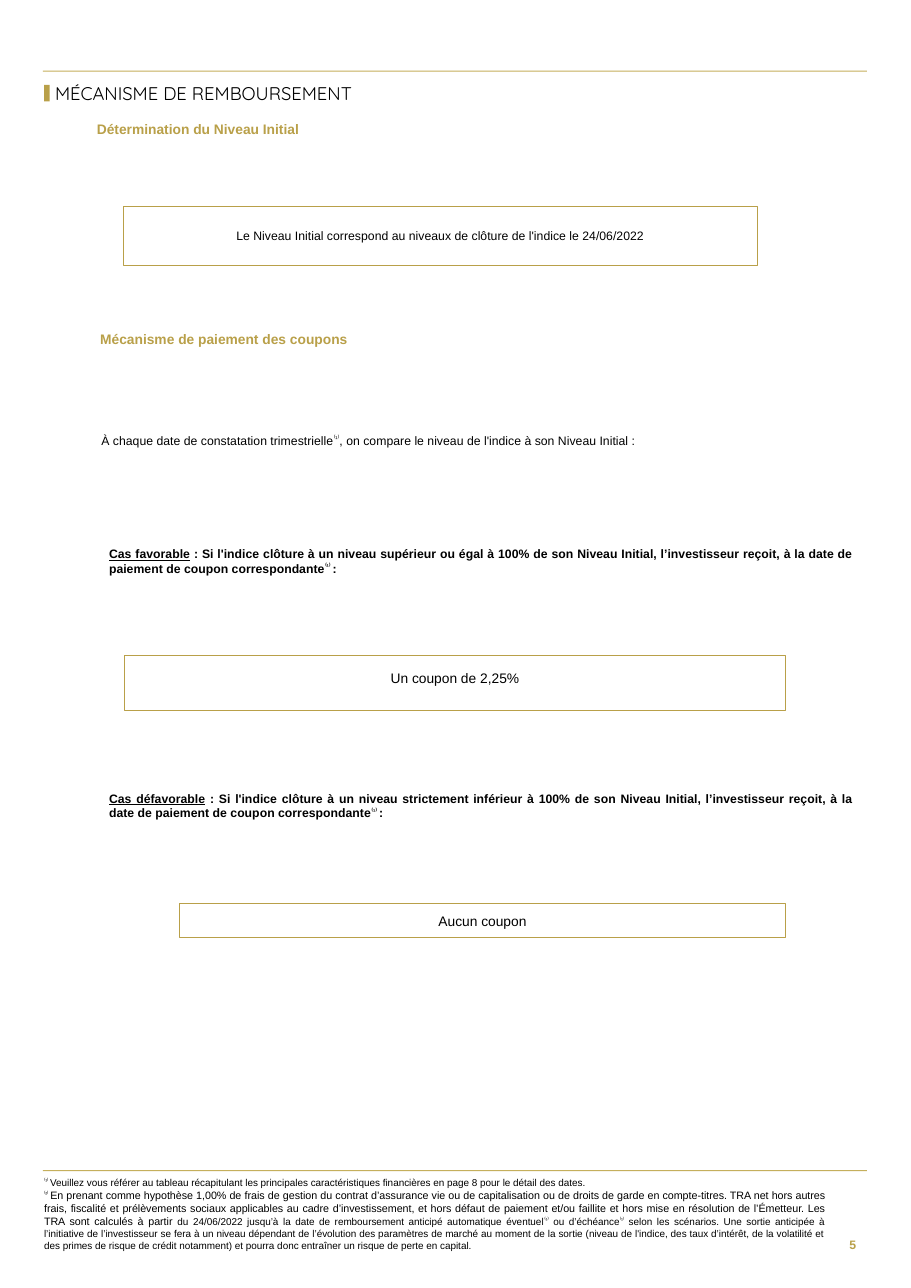
from pptx import Presentation
from pptx.dml.color import RGBColor
from pptx.enum.shapes import MSO_SHAPE as Shape
from pptx.enum.text import MSO_ANCHOR as Anchor, PP_ALIGN as Align
from pptx.util import Inches, Pt

GOLD, RULE, BLACK, WHITE = "B9A049", "C5AF5C", "000000", "FFFFFF"
NOTE_1, NOTE_2 = "⁽¹⁾", "⁽²⁾"


def color(value):
    return RGBColor.from_string(value)


def add_span(para, text, size=8, font="Arial", ink=BLACK, bold=False,
             underline=False, raised=False):
    span = para.add_run()
    span.text = text
    span.font.size = Pt(size)
    span.font.name = font
    span.font.bold = bold
    span.font.underline = underline
    span.font.color.rgb = color(ink)
    if raised:
        span.font._element.set("baseline", "30000")


class Page:
    """One page of the brochure and its style."""

    def __init__(self, deck):
        self.shapes = deck.slides.add_slide(deck.slide_layouts[6]).shapes

    def fill_frame(self, frame, paragraphs, align=Align.LEFT, anchor=Anchor.TOP,
                   insets=(0, 0, 0, 0), spacing=None, **style):
        """Each paragraph is a list of texts or (text, format) pairs."""
        frame.word_wrap = True
        frame.vertical_anchor = anchor
        (frame.margin_left, frame.margin_top,
         frame.margin_right, frame.margin_bottom) = map(Inches, insets)
        for index, spans in enumerate(paragraphs):
            para = frame.add_paragraph() if index else frame.paragraphs[0]
            para.alignment = align
            if spacing:
                para.line_spacing = spacing
            for item in spans:
                text, extra = (item, {}) if isinstance(item, str) else item
                raised = text.strip() in (NOTE_1, NOTE_2)
                add_span(para, text, raised=raised, **{**style, **extra})

    def text(self, place, *paragraphs, **style):
        box = self.shapes.add_textbox(*map(Inches, place))
        self.fill_frame(box.text_frame, paragraphs, **style)

    def bar(self, place, fill=None, line=None, width=0.75):
        bar = self.shapes.add_shape(Shape.RECTANGLE, *map(Inches, place))
        bar.shadow.inherit = False
        if fill:
            bar.fill.solid()
            bar.fill.fore_color.rgb = color(fill)
        else:
            bar.fill.background()
        if line:
            bar.line.color.rgb = color(line)
            bar.line.width = Pt(width)
        else:
            bar.line.fill.background()
        return bar

    def framed(self, place, text, insets, fill=WHITE, width=0.75, **style):
        frame = self.bar(place, fill, GOLD, width).text_frame
        self.fill_frame(frame, [[text]], align=Align.CENTER,
                        anchor=Anchor.MIDDLE, insets=insets, **style)

    def heading(self, left, top, text):
        self.text((left, top, 6, 0.18), [text], size=9, ink=GOLD, bold=True)

    def case(self, top, name, condition):
        self.text((0.99, top, 6.76, 0.27),
                  [(name, {"underline": True}), condition, NOTE_1 + " ", ":"],
                  align=Align.JUSTIFY, bold=True)


def main():
    deck = Presentation()
    deck.slide_width, deck.slide_height = Inches(8.27), Inches(11.69)
    page = Page(deck)

    # Rules and page number
    for top in (0.64, 10.62):
        page.bar((0.39, top, 7.48, 0.01), RULE)
    page.text((7.48, 11.09, 0.39, 0.42), ["5"], align=Align.RIGHT,
              anchor=Anchor.MIDDLE, insets=(0.1, 0.05, 0.1, 0.05),
              ink=GOLD, bold=True)

    # Title
    page.bar((0.4, 0.77, 0.05, 0.15), GOLD)
    page.text((0.5, 0.73, 4.21, 0.25), ["MÉCANISME DE REMBOURSEMENT"],
              anchor=Anchor.MIDDLE, spacing=0.9, size=12, font="Quicksand")

    # Initial level
    page.heading(0.88, 1.1, "Détermination du Niveau Initial")
    page.framed((1.12, 1.87, 5.76, 0.54),
                "Le Niveau Initial correspond au niveaux de clôture de l'indice le 24/06/2022",
                (0.12, 0.2, 0.12, 0.2), fill=None, width=0.5)

    # Coupon payment
    page.heading(0.91, 3, "Mécanisme de paiement des coupons")
    page.text((0.92, 3.93, 6.57, 0.13),
              ["À chaque date de constatation trimestrielle", NOTE_1,
               ", on compare le niveau de l'indice à son Niveau Initial :"],
              align=Align.JUSTIFY)
    page.case(4.96, "Cas favorable",
              " : Si l'indice clôture à un niveau supérieur ou égal à 100% de son Niveau "
              "Initial, l’investisseur reçoit, à la date de paiement de coupon correspondante")
    page.framed((1.13, 5.95, 6, 0.5), "Un coupon de 2,25%",
                (0.12, 0.15, 0.12, 0.23), size=9, spacing=0.9)
    page.case(7.18, "Cas défavorable",
              " : Si l'indice clôture à un niveau strictement inférieur à 100% de son Niveau "
              "Initial, l’investisseur reçoit, à la date de paiement de coupon correspondante")
    page.framed((1.63, 8.2, 5.5, 0.31), "Aucun coupon",
                (0.12, 0.08, 0.12, 0.08), size=9)

    # Footnotes
    page.text(
        (0.4, 10.68, 7.09, 0.68),
        [NOTE_1 + " ",
         "Veuillez vous référer au tableau récapitulant les principales caractéristiques "
         "financières en page 8 pour le détail des dates."],
        [NOTE_2 + " ",
         ("En prenant comme hypothèse 1,00% de frais de gestion du contrat d’assurance vie "
          "ou de capitalisation ou de droits de garde en compte-titres. TRA net hors autres "
          "frais, fiscalité et prélèvements sociaux applicables au cadre d’investissement, et "
          "hors défaut de paiement et/ou faillite et hors mise en résolution de l’Émetteur. "
          "Les TRA sont calculés à partir ", {"size": 7}),
         "du 24/06/2022 jusqu’à la date de remboursement anticipé automatique éventuel",
         NOTE_1, " ou d’échéance", NOTE_1,
         " selon les scénarios. Une sortie anticipée à l’initiative de l’investisseur se fera "
         "à un niveau dépendant de l’évolution des paramètres de marché au moment de la sortie "
         "(niveau de l'indice, des taux d’intérêt, de la volatilité et des primes de risque de "
         "crédit notamment) et pourra donc entraîner un risque de perte en capital."],
        align=Align.JUSTIFY, size=6.5)

    deck.save("out.pptx")


if __name__ == "__main__":
    main()
